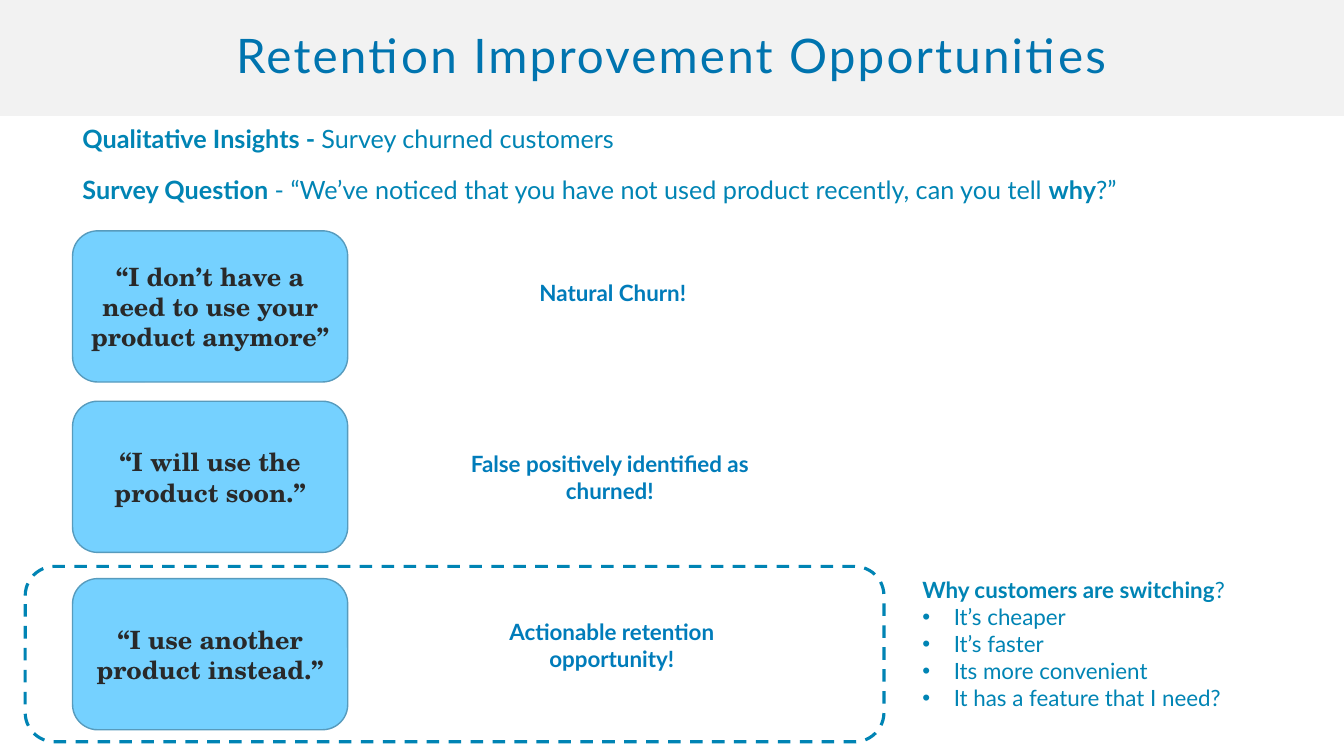
from lxml.etree import SubElement
from pptx import Presentation
from pptx.dml.color import RGBColor
from pptx.enum.dml import MSO_LINE
from pptx.enum.shapes import MSO_SHAPE as Preset
from pptx.enum.text import MSO_ANCHOR as Anchor, MSO_AUTO_SIZE as AutoSize, PP_ALIGN as Align
from pptx.oxml.ns import qn
from pptx.util import Pt

rgb = RGBColor.from_string
BLUE = "0084B4"


def write(paragraph, text, size=18, color=BLUE, bold=False, font="Lato", align=Align.LEFT):
    paragraph.alignment = align
    run = paragraph.add_run()
    run.text = text
    run.font.size = Pt(size)
    run.font.bold = bold
    run.font.name = font
    run.font.color.rgb = rgb(color)
    return run


def place(shape, left, top, width, height, anchor=Anchor.TOP):
    shape.left, shape.top, shape.width, shape.height = Pt(left), Pt(top), Pt(width), Pt(height)
    frame = shape.text_frame
    frame.word_wrap = True
    frame.auto_size = AutoSize.NONE
    frame.vertical_anchor = anchor
    return frame.paragraphs[0]


deck = Presentation()
deck.slide_width, deck.slide_height = Pt(960), Pt(540)
slide = deck.slides.add_slide(deck.slide_layouts[1])
shapes = slide.shapes

title = shapes.title
title.fill.solid()
title.fill.fore_color.rgb = rgb("F2F2F2")
heading = place(title, 0, 0, 960, 82.8, Anchor.MIDDLE)
heading.line_spacing = 0.9
heading_run = write(heading, "Retention Improvement Opportunities", size=34, color="0074AF", align=Align.CENTER)
heading_run.font._element.set("spc", "160")

intro = [
    (84.24, [("Qualitative Insights - ", True), ("Survey churned customers", False)]),
    (120.96, [
        ("Survey Question", True),
        (" - “We’ve noticed that you have not used product recently, can you tell ", False),
        ("why", True),
        ("?”", False),
    ]),
]
for top, parts in intro:
    statement = place(shapes.add_textbox(0, 0, 0, 0), 51.84, top, 833, 28.8)
    for text, bold in parts:
        write(statement, text, bold=bold)

answers = [
    (164.9, "“I don’t have a need to use your product anymore”", 313.9, 209.2, "Natural Churn!"),
    (286.6, "“I will use the product soon.”", 311.8, 340.6, "False positively identified as churned!"),
    (413.3, "“I use another product instead.”", 313.2, 460.8, "Actionable retention opportunity!"),
]
for top, quote, verdict_left, verdict_middle, verdict in answers:
    card = shapes.add_shape(Preset.ROUNDED_RECTANGLE, 0, 0, 0, 0)
    card.shadow.inherit = False
    card.fill.solid()
    card.fill.fore_color.rgb = rgb("75D1FF")
    card.line.color.rgb = rgb("579BBD")
    card.line.width = Pt(1)
    write(place(card, 51.84, top, 196.56, 108, Anchor.MIDDLE), quote,
          color="292929", bold=True, font="TeX Gyre Schola", align=Align.CENTER)
    verdict_box = shapes.add_textbox(0, 0, 0, 0)
    write(place(verdict_box, verdict_left, verdict_middle - 30, 247.7, 60, Anchor.MIDDLE), verdict,
          size=16, color="007CBA", bold=True, align=Align.CENTER)

highlight = shapes.add_shape(Preset.ROUNDED_RECTANGLE, Pt(18), Pt(404.6), Pt(613.4), Pt(125.3))
highlight.shadow.inherit = False
highlight.fill.background()
highlight.line.color.rgb = rgb(BLUE)
highlight.line.width = Pt(2.25)
highlight.line.dash_style = MSO_LINE.DASH

reasons = slide.placeholders[1]
question = place(reasons, 651.6, 408.2, 257, 104.4)
write(question, "Why customers are switching", size=16, bold=True)
write(question, "?", size=16)
for reason in ["It’s cheaper", "It’s faster", "Its more convenient", "It has a feature that I need?"]:
    write(reasons.text_frame.add_paragraph(), reason, size=16)
for paragraph in reasons.text_frame.paragraphs:
    paragraph.space_before = Pt(0)
    bulleted = paragraph.text != question.text
    indent = Pt(22.5) if bulleted else 0
    properties = paragraph._p.get_or_add_pPr()
    properties.set("marL", str(indent))
    properties.set("indent", str(-indent))
    if bulleted:
        SubElement(properties, qn("a:buFont")).set("typeface", "Arial")
        SubElement(properties, qn("a:buChar")).set("char", "•")
    else:
        SubElement(properties, qn("a:buNone"))

deck.save("out.pptx")
